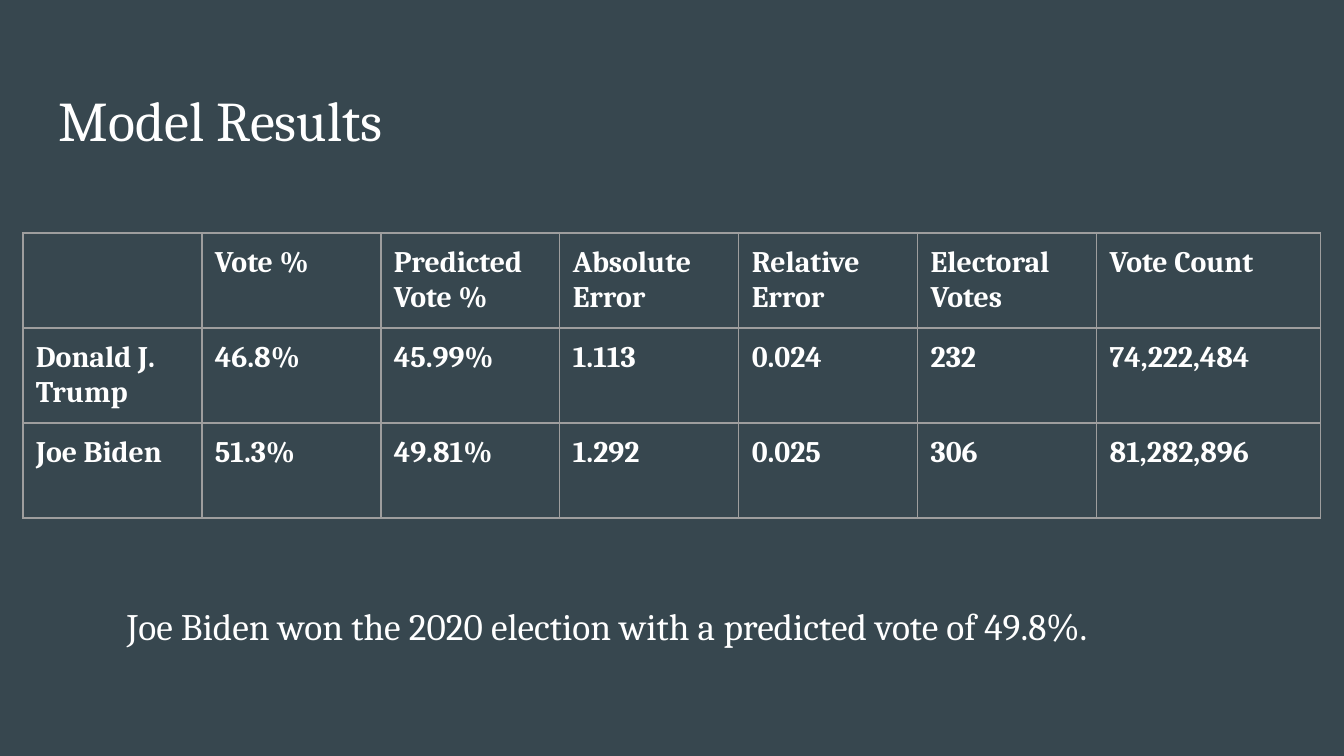
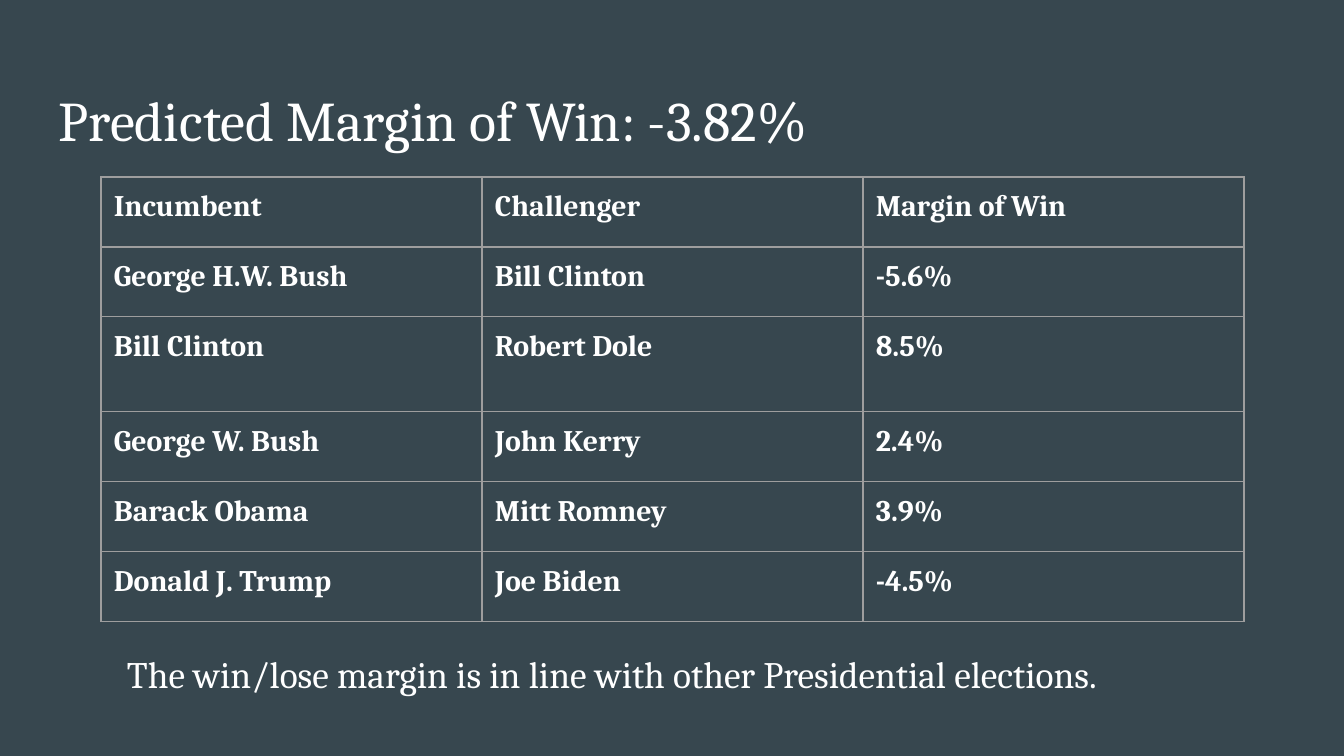
from dataclasses import dataclass

from lxml.etree import SubElement
from pptx import Presentation
from pptx.dml.color import RGBColor
from pptx.enum.text import MSO_ANCHOR, MSO_AUTO_SIZE, PP_ALIGN
from pptx.oxml.ns import qn
from pptx.util import Emu, Pt


@dataclass(frozen=True)
class Theme:
    background: str = "37474F"
    text: str = "FFFFFF"
    border: str = "9E9E9E"
    font: str = "Cambria"
    title_size: int = 30
    caption_size: int = 20
    cell_size: int = 16
    border_width: float = 0.75


THEME = Theme()
INSET = 13


def px(length):
    return Emu(round(length * 914400 / 134.4))


def write(frame, text, size, bold=False, line_spacing=1.0):
    frame.word_wrap = True
    paragraph = frame.paragraphs[0]
    paragraph.alignment = PP_ALIGN.LEFT
    paragraph.line_spacing = line_spacing
    run = paragraph.add_run()
    run.text = text
    run.font.name = THEME.font
    run.font.size = Pt(size)
    run.font.bold = bold
    run.font.color.rgb = RGBColor.from_string(THEME.text)


pages = [
    {
        "title": "Model Results",
        "caption": "Joe Biden won the 2020 election with a predicted vote of 49.8%.",
        "caption_top": 586,
        "caption_height": 98,
        "origin": (23, 233),
        "columns": [179] * 6 + [224],
        "heights": [95] * 3,
        "results": [
            ["", "Vote %", "Predicted Vote %", "Absolute Error", "Relative Error",
             "Electoral Votes", "Vote Count"],
            ["Donald J. Trump", "46.8%", "45.99%", "1.113", "0.024", "232", "74,222,484"],
            ["Joe Biden", "51.3%", "49.81%", "1.292", "0.025", "306", "81,282,896"],
        ],
    },
    {
        "title": "Predicted Margin of Win: -3.82%",
        "caption": "The win/lose margin is in line with other Presidential elections.",
        "caption_top": 634,
        "caption_height": 85,
        "origin": (101, 177),
        "columns": [381] * 3,
        "heights": [70, 70, 95, 70, 70, 70],
        "results": [
            ["Incumbent", "Challenger", "Margin of Win"],
            ["George H.W. Bush", "Bill Clinton", "-5.6%"],
            ["Bill Clinton", "Robert Dole", "8.5%"],
            ["George W. Bush", "John Kerry", "2.4%"],
            ["Barack Obama", "Mitt Romney", "3.9%"],
            ["Donald J. Trump", "Joe Biden", "-4.5%"],
        ],
    },
]

prs = Presentation()
prs.slide_width, prs.slide_height = px(1344), px(756)
backdrop = prs.slide_master.background.fill
backdrop.solid()
backdrop.fore_color.rgb = RGBColor.from_string(THEME.background)
title_only = prs.slide_layouts[5]

for page in pages:
    slide = prs.slides.add_slide(title_only)
    heading = slide.shapes.title
    heading.left, heading.top, heading.width, heading.height = px(46), px(66), px(1252), px(85)

    columns, heights, results = page["columns"], page["heights"], page["results"]
    left, top = page["origin"]
    grid = slide.shapes.add_table(
        len(results), len(columns), px(left), px(top), px(sum(columns)), px(sum(heights))
    ).table
    grid.first_row = grid.horz_banding = False
    for column, width in zip(grid.columns, columns):
        column.width = px(width)
    for row, height, entries in zip(grid.rows, heights, results):
        row.height = px(height)
        for cell, entry in zip(row.cells, entries):
            cell.margin_left = cell.margin_right = px(INSET)
            cell.margin_top = cell.margin_bottom = px(INSET)
            if entry:
                write(cell.text_frame, entry, THEME.cell_size, bold=True)
            properties = cell._tc.get_or_add_tcPr()
            for side in ("a:lnL", "a:lnR", "a:lnT", "a:lnB"):
                border = SubElement(properties, qn(side), w=str(Pt(THEME.border_width)))
                paint = SubElement(border, qn("a:solidFill"))
                SubElement(paint, qn("a:srgbClr"), val=THEME.border)
            cell.fill.background()

    caption = slide.shapes.add_textbox(
        px(114), px(page["caption_top"]), px(1114), px(page["caption_height"])
    )
    for box, text, size in (
        (heading, page["title"], THEME.title_size),
        (caption, page["caption"], THEME.caption_size),
    ):
        frame = box.text_frame
        frame.auto_size = MSO_AUTO_SIZE.NONE
        frame.vertical_anchor = MSO_ANCHOR.TOP
        frame.margin_left = frame.margin_right = px(INSET)
        frame.margin_top = frame.margin_bottom = px(INSET)
        write(frame, text, size, line_spacing=1.1)

prs.save("out.pptx")
